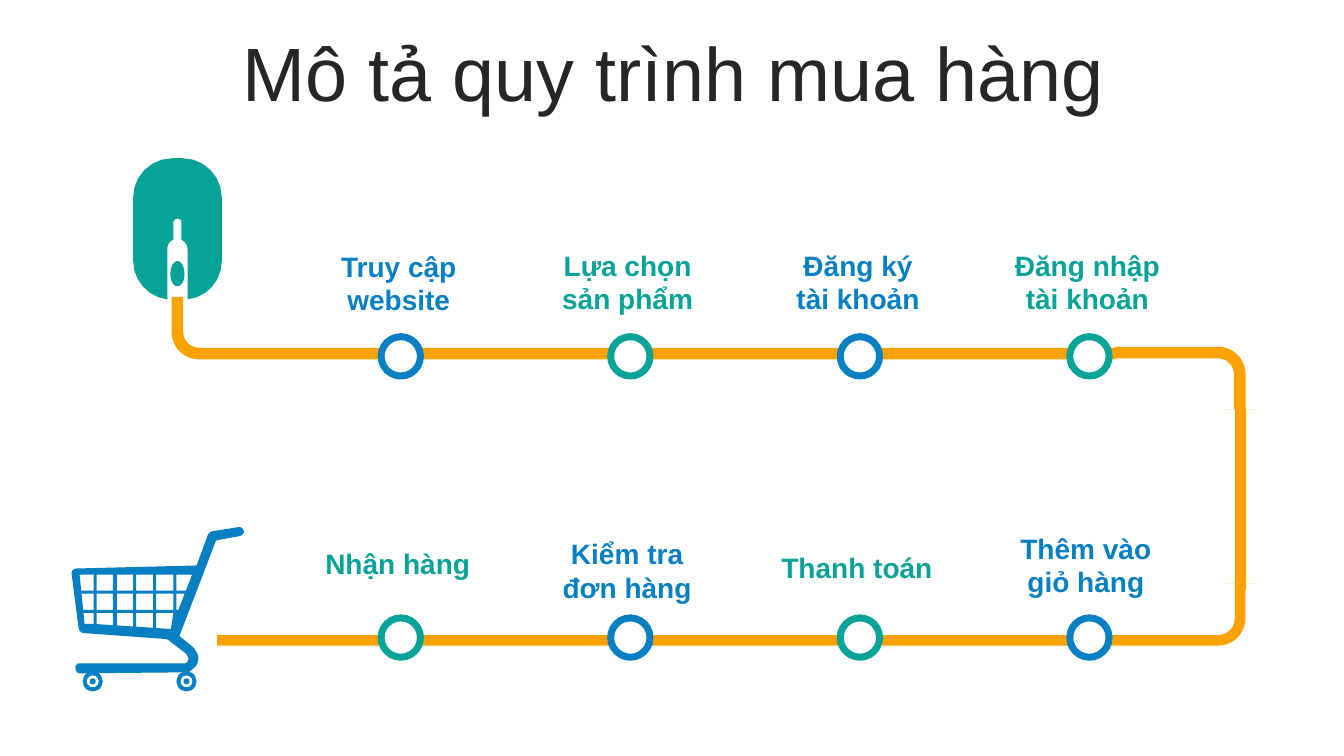
from itertools import product

from pptx import Presentation
from pptx.dml.color import RGBColor
from pptx.enum.shapes import MSO_SHAPE
from pptx.enum.text import MSO_ANCHOR, MSO_AUTO_SIZE, PP_ALIGN
from pptx.oxml.ns import qn
from pptx.util import Inches, Pt

COLORS = {"blue": "0680C3", "teal": "07A398", "orange": "FBA200",
          "white": "FFFFFF", "dark": "262626"}
TITLE = "Mô tả quy trình mua hàng"

ROWS = [
    (3.34, [("Truy cập website", "blue", (2.94, 2.42, 2.03, 0.77)),
            ("Lựa chọn sản phẩm", "teal", (5.3, 2.41, 1.85, 0.77)),
            ("Đăng ký tài khoản", "blue", (7.77, 2.41, 1.48, 0.77)),
            ("Đăng nhập tài khoản", "teal", (9.93, 2.41, 1.71, 0.77))]),
    (6.13, [("Nhận hàng", "teal", (3.09, 5.37, 1.71, 0.44)),
            ("Kiểm tra đơn hàng", "blue", (5.44, 5.27, 1.56, 0.77)),
            ("Thanh toán", "teal", (7.36, 5.41, 2.28, 0.44)),
            ("Thêm vào giỏ hàng", "blue", (9.9, 5.22, 1.74, 0.77))]),
]
STOP_LEFT, STOP_STEP, STOP_SIZE = 3.78, 6.83 / 3, 0.39

BENDS = [
    ((7.01, 0.93, 0.62, 10.33), 90, True, 0.17),
    ((6.01, -1.49, 0.62, 9.49), 270, False, 0.186),
    ((11.46, 3.04, 0.62, 1.42), 90, False, 0.186),
]

# Two numbers make a straight segment, six make a Bézier curve.
MOUSE = [
    (1.86, 2.97), (1.86, 2.47), (1.86, 2.43, 1.83, 2.39, 1.8, 2.38), (1.8, 2.21),
    (1.8, 2.18, 1.78, 2.17, 1.76, 2.17), (1.74, 2.17, 1.72, 2.18, 1.72, 2.21),
    (1.72, 2.38), (1.68, 2.39, 1.66, 2.43, 1.66, 2.47), (1.66, 2.97),
    (1.47, 2.95, 1.32, 2.78, 1.32, 2.59), (1.32, 1.96),
    (1.32, 1.75, 1.49, 1.57, 1.71, 1.57), (1.81, 1.57),
    (2.03, 1.57, 2.2, 1.75, 2.2, 1.96), (2.2, 2.59),
    (2.2, 2.79, 2.05, 2.95, 1.86, 2.97),
]
MOUSE_WHEEL = [
    (1.76, 2.84), (1.72, 2.84, 1.69, 2.79, 1.69, 2.72),
    (1.69, 2.65, 1.72, 2.59, 1.76, 2.59), (1.8, 2.59, 1.83, 2.65, 1.83, 2.72),
    (1.83, 2.79, 1.8, 2.84, 1.76, 2.84),
]
CART = [
    (2.42, 5.27), (2.41, 5.25, 2.4, 5.23, 2.38, 5.23), (2.36, 5.23), (2.11, 5.27),
    (2.08, 5.28, 2.07, 5.29, 2.06, 5.31), (1.95, 5.61), (0.76, 5.64),
    (0.73, 5.64, 0.71, 5.66, 0.71, 5.69), (0.78, 6.23),
    (0.78, 6.25, 0.8, 6.27, 0.82, 6.28), (1.65, 6.34), (1.67, 6.35), (1.84, 6.48),
    (1.85, 6.49, 1.86, 6.51, 1.87, 6.53), (1.87, 6.55, 1.86, 6.57, 1.84, 6.58),
    (0.78, 6.58), (0.76, 6.59, 0.74, 6.61, 0.75, 6.63),
    (0.75, 6.66, 0.77, 6.68, 0.79, 6.68), (1.87, 6.67),
    (1.9, 6.65, 1.92, 6.63, 1.94, 6.61), (1.95, 6.6, 1.96, 6.58, 1.96, 6.57),
    (1.97, 6.54, 1.97, 6.51, 1.96, 6.49), (1.94, 6.45, 1.92, 6.42, 1.89, 6.4),
    (1.78, 6.31), (2.14, 5.37), (2.15, 5.36), (2.37, 5.32),
    (2.39, 5.32, 2.41, 5.3, 2.42, 5.28),
]
BASKET_COLS = [(0.7, 0.93), (0.96, 1.12), (1.16, 1.32), (1.35, 1.52),
               (1.55, 1.72), (1.75, 2)]
BASKET_ROWS = [(5.7, 5.86), (5.89, 6.05), (6.08, None)]
CART_WHEELS = [(0.92, 6.76), (1.85, 6.76)]


def color(name):
    return RGBColor.from_string(COLORS[name])


def add_shape(slide, kind, box, fill, line=None):
    sp = slide.shapes.add_shape(kind, *map(Inches, box))
    style(sp, fill, line)
    return sp


def style(sp, fill, line=None):
    sp.shadow.inherit = False
    sp.fill.solid()
    sp.fill.fore_color.rgb = color(fill)
    if line:
        sp.line.color.rgb = color(line)
        sp.line.width = Pt(5)
    else:
        sp.line.fill.background()


def write(sp, text, font, spacing=None):
    tf = sp.text_frame
    for key, value in {"word_wrap": True, "auto_size": MSO_AUTO_SIZE.NONE,
                       "vertical_anchor": MSO_ANCHOR.MIDDLE}.items():
        setattr(tf, key, value)
    p = tf.paragraphs[0]
    p.alignment = PP_ALIGN.CENTER
    p.line_spacing = spacing
    r = p.add_run()
    r.text = text
    for key, value in {"name": "Arial", **font}.items():
        if key == "color":
            r.font.color.rgb = color(value)
        else:
            setattr(r.font, key, value)


def flatten(outline, steps=6):
    points = []
    for seg in outline:
        if len(seg) == 2:
            points.append(seg)
            continue
        ctrl = [points[-1], seg[:2], seg[2:4], seg[4:]]
        for t in (i / steps for i in range(1, steps + 1)):
            weights = ((1 - t) ** 3, 3 * t * (1 - t) ** 2, 3 * t * t * (1 - t), t ** 3)
            points.append(tuple(sum(w * c[axis] for w, c in zip(weights, ctrl))
                                for axis in (0, 1)))
    return [(Inches(x), Inches(y)) for x, y in points]


def add_outline(slide, outlines, fill):
    first, *holes = map(flatten, outlines)
    fb = slide.shapes.build_freeform(*first[0])
    fb.add_line_segments(first[1:], close=True)
    for hole in holes:
        fb.move_to(*hole[0])
        fb.add_line_segments(hole[1:], close=True)
    style(fb.convert_to_shape(), fill)


def basket_cell(col, row):
    top, bottom = row

    def corner(x, y):
        if y is None:
            y = 6.19 + 0.065 * (min(max(x, 0.93), 1.72) - 0.93)
        left, right = 0.79 + 0.1 * (y - 5.7), 1.91 - 0.39 * (y - 5.69)
        return min(max(x, left), right), y

    return [corner(col[0], top), corner(col[1], top),
            corner(col[1], bottom), corner(col[0], bottom)]


def centered(center, size):
    return center[0] - size / 2, center[1] - size / 2, size, size


def main():
    prs = Presentation()
    prs.slide_width, prs.slide_height = Inches(13.33), Inches(7.5)
    slide = prs.slides.add_slide(prs.slide_layouts[5])

    title = slide.shapes.title
    title.left, title.top, title.width, title.height = map(Inches, (0.35, 0.37, 12.66, 0.79))
    write(title, TITLE, {"size": Pt(54), "color": "dark"}, 0.9)

    for box, rotation, flip, thickness in BENDS:
        sp = add_shape(slide, MSO_SHAPE.BENT_ARROW, box, "orange")
        sp.rotation = rotation
        for i, value in enumerate((thickness, 0.298, 0, 0.438)):
            sp.adjustments[i] = value
        if flip:
            sp._element.spPr.find(qn("a:xfrm")).set("flipH", "1")
    add_shape(slide, MSO_SHAPE.RECTANGLE, (12.25, 4.05, 0.11, 1.8), "orange")

    for top, stops in ROWS:
        for i, (text, tone, box) in enumerate(stops):
            label = slide.shapes.add_textbox(*map(Inches, box))
            write(label, text, {"size": Pt(20), "bold": True, "color": tone})
            stop = (STOP_LEFT + i * STOP_STEP, top, STOP_SIZE, STOP_SIZE)
            add_shape(slide, MSO_SHAPE.OVAL, stop, "white", tone)

    add_outline(slide, [MOUSE, MOUSE_WHEEL], "teal")
    cells = [basket_cell(col, row) for col, row in product(BASKET_COLS, BASKET_ROWS)
             if (col, row) != (BASKET_COLS[-1], BASKET_ROWS[-1])]
    add_outline(slide, [CART, *cells], "blue")
    for center in CART_WHEELS:
        tire = add_shape(slide, MSO_SHAPE.DONUT, centered(center, 0.2), "blue")
        tire.adjustments[0] = 0.2
        add_shape(slide, MSO_SHAPE.OVAL, centered(center, 0.06), "blue")

    prs.save("out.pptx")


if __name__ == "__main__":
    main()
